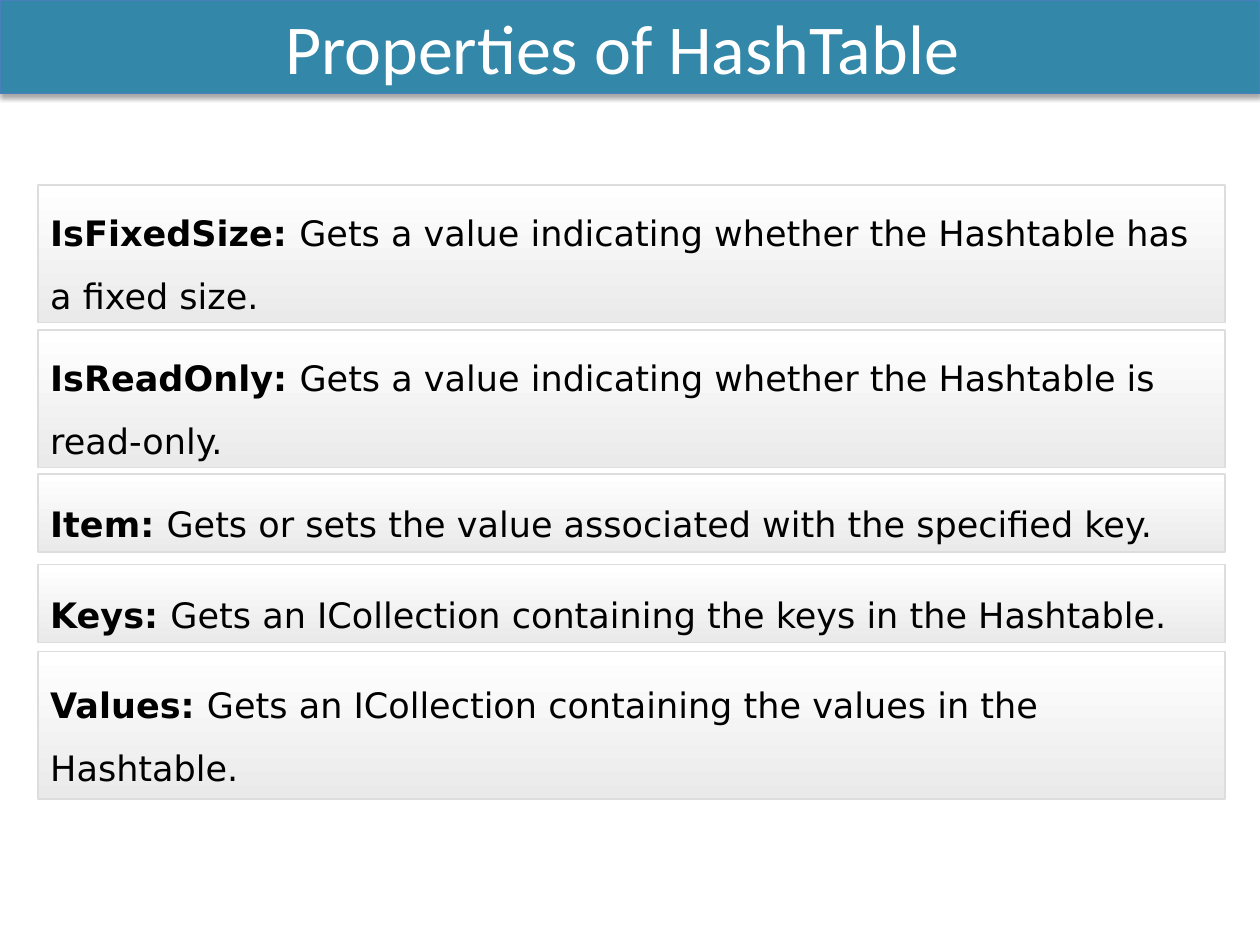
from lxml import etree
from pptx import Presentation
from pptx.dml.color import RGBColor
from pptx.enum.shapes import MSO_SHAPE
from pptx.enum.text import MSO_ANCHOR, PP_ALIGN
from pptx.oxml.ns import qn
from pptx.util import Pt

TEAL = RGBColor(0x33, 0x88, 0xA9)
BLUE = RGBColor(0x4B, 0x7E, 0xBC)
WHITE = RGBColor(0xFF, 0xFF, 0xFF)
BLACK = RGBColor(0, 0, 0)
PALE_GREY = RGBColor(0xEA, 0xEA, 0xEA)
BORDER_GREY = RGBColor(0xDD, 0xDD, 0xDD)

SLIDE_W, SLIDE_H = 720, 540
CARD_LEFT, CARD_WIDTH = 21.6, 678.24

# Top, height, property name, description
PROPERTIES = [
    (105.84, 78.48, "IsFixedSize",
     "Gets a value indicating whether the Hashtable has a fixed size."),
    (188.64, 78.48, "IsReadOnly",
     "Gets a value indicating whether the Hashtable is read-only."),
    (270.72, 44.64, "Item",
     "Gets or sets the value associated with the specified key."),
    (322.56, 44.64, "Keys",
     "Gets an ICollection containing the keys in the Hashtable."),
    (372.24, 84.24, "Values",
     "Gets an ICollection containing the values in the Hashtable."),
]


def add_box(slide, box, border, border_width):
    """Add a shadowless outlined rectangle with wrapped, centred-in-height text."""
    shape = slide.shapes.add_shape(MSO_SHAPE.RECTANGLE, *(Pt(v) for v in box))
    shape.shadow.inherit = False
    shape.line.color.rgb = border
    shape.line.width = Pt(border_width)
    shape.text_frame.word_wrap = True
    shape.text_frame.vertical_anchor = MSO_ANCHOR.MIDDLE
    return shape


def add_run(paragraph, text, font, size, color, bold=False):
    """Append a formatted run to a paragraph."""
    run = paragraph.add_run()
    run.text = text
    run.font.name = font
    run.font.size = Pt(size)
    run.font.color.rgb = color
    run.font.bold = bold


def add_drop_shadow(shape, blur, distance, opacity):
    """Give a shape a soft black shadow that falls straight down."""
    effects = shape._element.spPr.find(qn("a:effectLst"))
    shadow = etree.SubElement(
        effects, qn("a:outerShdw"), blurRad=str(Pt(blur)),
        dist=str(Pt(distance)), dir=str(90 * 60000), rotWithShape="0")
    color = etree.SubElement(shadow, qn("a:srgbClr"), val=str(BLACK))
    etree.SubElement(color, qn("a:alpha"), val=str(opacity * 1000))


def add_title_bar(slide, box, title):
    """Draw the teal title bar."""
    bar = add_box(slide, box, BLUE, 0.75)
    bar.fill.solid()
    bar.fill.fore_color.rgb = TEAL
    add_drop_shadow(bar, blur=3.1, distance=1.8, opacity=35)
    paragraph = bar.text_frame.paragraphs[0]
    paragraph.alignment = PP_ALIGN.CENTER
    add_run(paragraph, title, "Calibri", 40, WHITE)


def add_property_card(slide, box, name, description):
    """Draw a gradient card with a bold property name and its description."""
    card = add_box(slide, box, BORDER_GREY, 1)
    card.fill.gradient()
    card.fill.gradient_angle = 270
    for stop, color, position in zip(
            card.fill.gradient_stops, (WHITE, PALE_GREY), (0, 1)):
        stop.color.rgb = color
        stop.position = position
    paragraph = card.text_frame.paragraphs[0]
    paragraph.alignment = PP_ALIGN.LEFT
    paragraph.line_spacing = 1.5
    add_run(paragraph, f"{name}: ", "DejaVu Sans", 20, BLACK, bold=True)
    add_run(paragraph, description, "DejaVu Sans", 20, BLACK)


def main():
    """Build and save the slide."""
    prs = Presentation()
    prs.slide_width, prs.slide_height = Pt(SLIDE_W), Pt(SLIDE_H)
    slide = prs.slides.add_slide(prs.slide_layouts[6])
    add_title_bar(slide, (0, 0, SLIDE_W, 53.28), "Properties of HashTable ")
    for top, height, name, description in PROPERTIES:
        box = (CARD_LEFT, top, CARD_WIDTH, height)
        add_property_card(slide, box, name, description)
    prs.save("out.pptx")


main()
